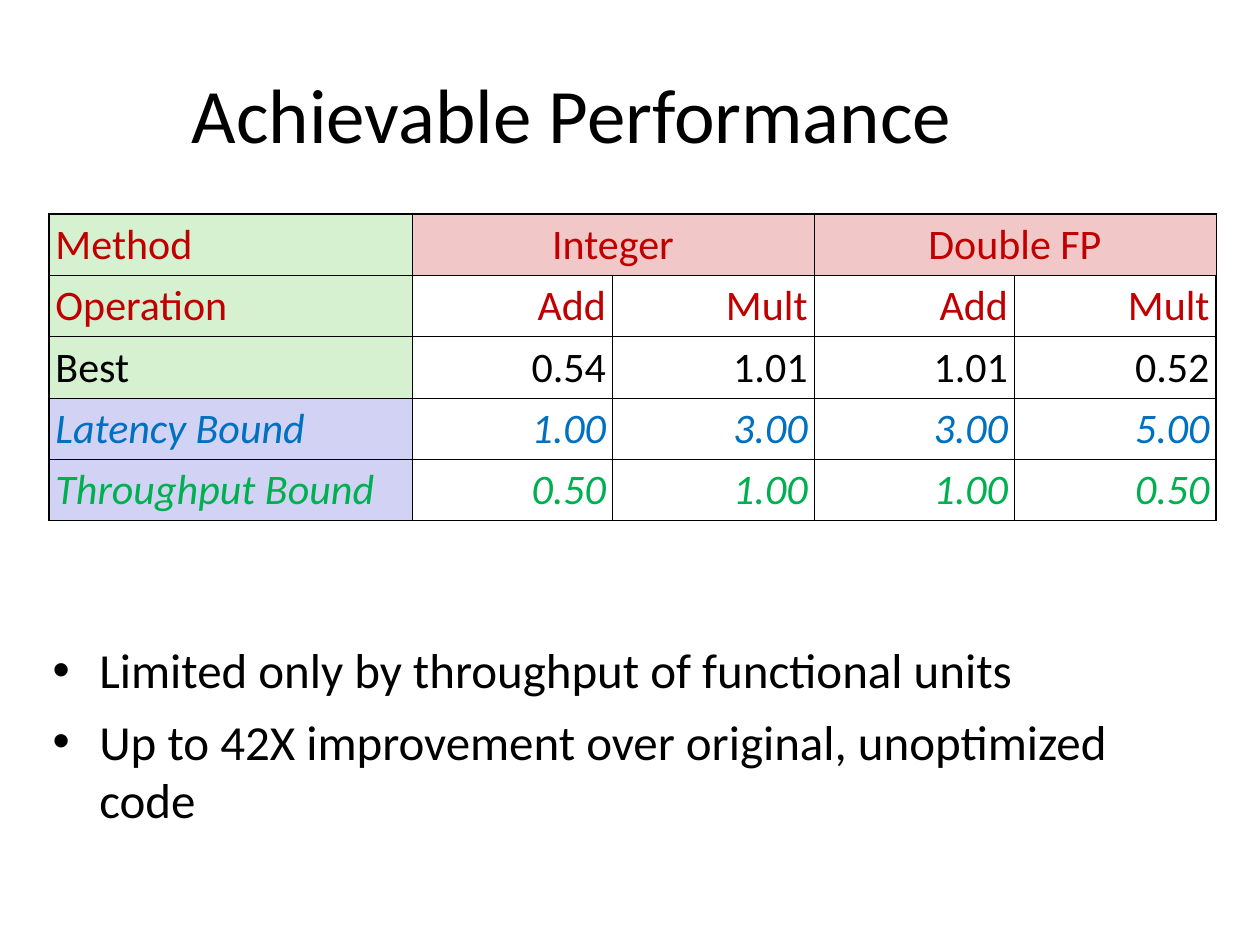
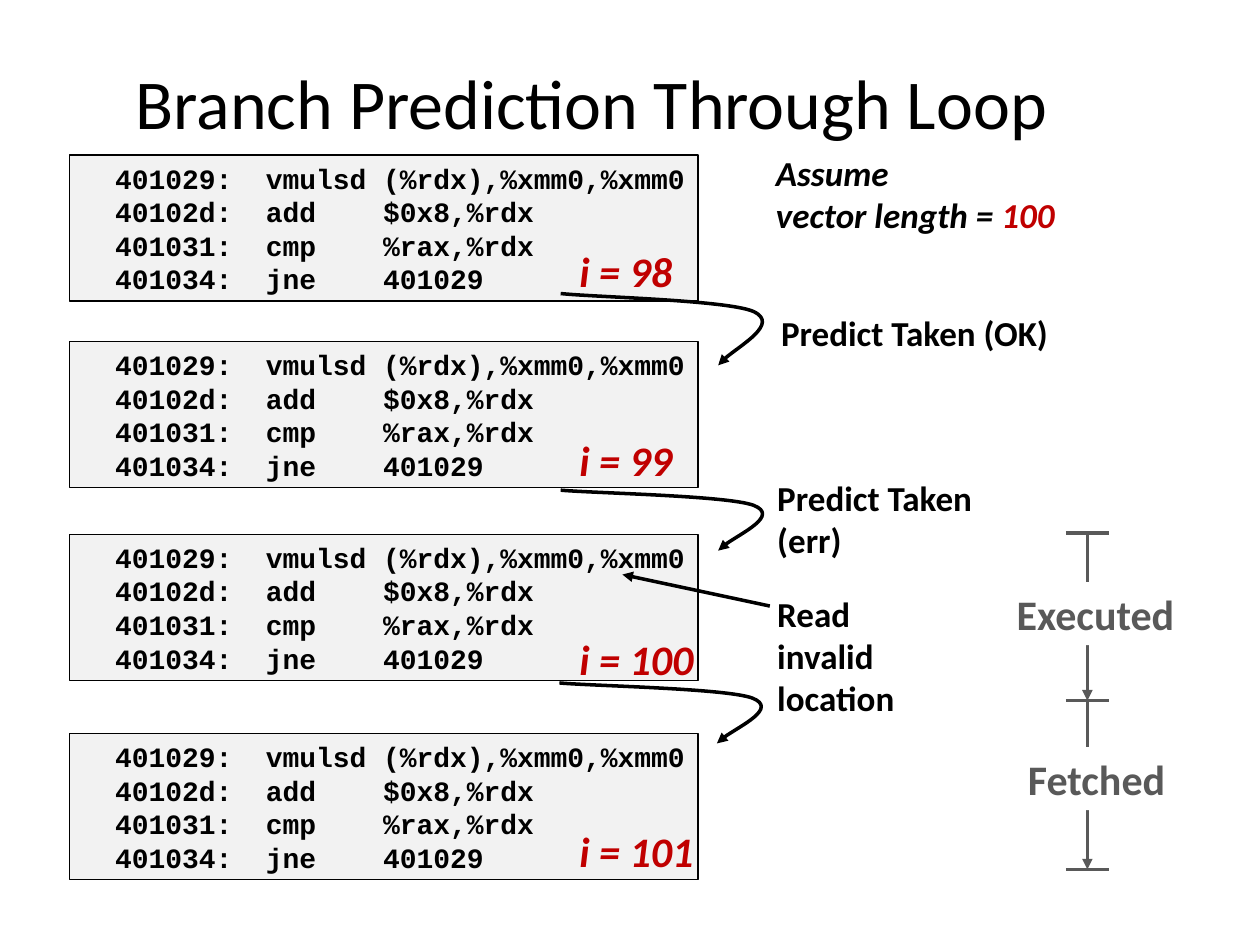
"""Build two slides on achievable performance and loop branch prediction."""
from dataclasses import dataclass

from lxml.etree import SubElement
from pptx import Presentation
from pptx.dml.color import RGBColor
from pptx.enum.shapes import MSO_CONNECTOR as Connector, MSO_SHAPE as Shape
from pptx.enum.text import MSO_ANCHOR as Anchor, MSO_AUTO_SIZE as AutoSize, PP_ALIGN as Align
from pptx.oxml.ns import qn
from pptx.util import Inches, Pt


@dataclass(frozen=True)
class Theme:
    body_font: str = "Calibri"
    code_font: str = "Courier New"
    black: str = "000000"
    white: str = "FFFFFF"
    red: str = "C00000"
    blue: str = "0070C0"
    green: str = "00B050"
    grey: str = "595959"
    code_fill: str = "F2F2F2"
    method_fill: str = "D5F1CF"
    type_fill: str = "F1C7C7"
    bound_fill: str = "D2D2F4"
    bullet_size: int = 28
    label_size: int = 24
    note_size: int = 20
    code_size: int = 16
    thick: float = 1.08
    thin: float = 0.45
    outline: float = 0.75
    stroke: float = 2


THEME = Theme()

PERFORMANCE_TITLE = ("Achievable Performance", (0.39, 0.48, 8.3, 0.83), 44)
PREDICTION_TITLE = ("Branch Prediction Through Loop", (0.4, 0.49, 8.59, 0.63), 40)

MEASURES = [
    (("Method", "Integer", "", "Double FP", ""), THEME.red, False, THEME.method_fill),
    (("Operation", "Add", "Mult", "Add", "Mult"), THEME.red, False, THEME.method_fill),
    (("Best", "0.54", "1.01", "1.01", "0.52"), THEME.black, False, THEME.method_fill),
    (("Latency Bound", "1.00", "3.00", "3.00", "5.00"), THEME.blue, True, THEME.bound_fill),
    (("Throughput Bound", "0.50", "1.00", "1.00", "0.50"), THEME.green, True, THEME.bound_fill),
]
MEASURE_WIDTHS = (2.88, 1.59, 1.6, 1.59, 1.6)
MEASURE_HEIGHT = 0.48
FINDINGS = [
    "Limited only by throughput of functional units",
    "Up to 42X improvement over original, unoptimized code",
]
FINDING_INDENT = 0.37

LOOP_CODE = [
    "  401029:  vmulsd (%rdx),%xmm0,%xmm0",
    "  40102d:  add    $0x8,%rdx",
    "  401031:  cmp    %rax,%rdx",
    "  401034:  jne    401029",
]
ITERATIONS = [
    (1.23, "i = 98", 1.9, 0.95),
    (2.71, "i = 99", 3.4, 0.95),
    (4.24, "i = 100", 4.98, 1.12),
    (5.82, "i = 101", 6.5, 1.12),
]
JUMPS = [(4.45, 2.33, 0.57), (4.45, 3.89, 0.48), (4.44, 5.42, 0.48)]
JUMP_BEND = [(0.26, 0.05), (1.32, 0.09), (1.53, 0.25),
             (1.74, 0.42), (1.31, 0.84), (1.25, 1)]
REMARKS = [
    (["Predict Taken (OK)"], (6.1, 2.42, 2.35, 0.44), False),
    (["Predict Taken", "(err)"], (6.07, 3.73, 1.78, 0.77), False),
    (["Read invalid location"], (6.07, 4.65, 1.42, 1.1), True),
]
ASSUMPTION = ["Assume", [("vector length = ", THEME.black), ("100", THEME.red)]]
INVALID_READ = ((6.11, 4.81), (4.94, 4.56))
STAGE_X, TICK_REACH = 8.63, 0.17
STAGE_ENDS = (4.23, 5.56, 6.9)
STAGES = [("Executed", (7.97, 4.62, 1.46, 0.5)), ("Fetched", (8.06, 5.93, 1.3, 0.5))]


def rgb(color):
    return RGBColor.from_string(color)


def assign(target, values):
    for name, value in values.items():
        setattr(target, name, value)


def box(place):
    return [Inches(length) for length in place]


def write(frame, lines, size, color=THEME.black, font=THEME.body_font,
          bold=False, italic=False, layout=None):
    """Fill a frame; a line is a string or a list of (text, color) runs."""
    for index, line in enumerate(lines):
        paragraph = frame.add_paragraph() if index else frame.paragraphs[0]
        assign(paragraph, layout or {})
        for words, shade in [(line, color)] if isinstance(line, str) else line:
            run = paragraph.add_run()
            run.text = words
            assign(run.font, {"name": font, "size": Pt(size), "bold": bold, "italic": italic})
            run.font.color.rgb = rgb(shade)


def add_words(slide, place, lines, size, wrap=False, **style):
    frame = slide.shapes.add_textbox(*box(place)).text_frame
    assign(frame, {"word_wrap": wrap,
                   "auto_size": AutoSize.NONE if wrap else AutoSize.SHAPE_TO_FIT_TEXT})
    write(frame, lines, size, **style)
    return frame


def add_title(slide, words, place, size):
    frame = add_words(slide, place, [words], size, wrap=True, layout={"alignment": Align.CENTER})
    frame.vertical_anchor = Anchor.MIDDLE


def add_panel(slide, place, lines, size, fill, outlined=False, **style):
    panel = slide.shapes.add_shape(Shape.RECTANGLE, *box(place))
    panel.shadow.inherit = False
    panel.fill.solid()
    panel.fill.fore_color.rgb = rgb(fill)
    if outlined:
        draw_stroke(panel, THEME.black, THEME.outline)
    else:
        panel.line.fill.background()
    assign(panel.text_frame, {"word_wrap": False, "auto_size": AutoSize.SHAPE_TO_FIT_TEXT,
                              "vertical_anchor": Anchor.TOP})
    write(panel.text_frame, lines, size, layout={"alignment": Align.LEFT}, **style)


def draw_stroke(mark, color, width=THEME.stroke, arrow=False):
    mark.line.color.rgb = rgb(color)
    mark.line.width = Pt(width)
    if arrow:
        SubElement(mark._element.spPr.get_or_add_ln(), qn("a:tailEnd"), type="triangle")


def add_line(slide, start, end, color, arrow=False):
    line = slide.shapes.add_connector(Connector.STRAIGHT, *box(start + end))
    draw_stroke(line, color, arrow=arrow)
    SubElement(line._element.spPr, qn("a:effectLst"))


def bend_segments(shape):
    """Turn each three straight segments into one cubic curve."""
    outline = next(shape._element.iter(qn("a:path")))
    segments = outline.findall(qn("a:lnTo"))
    for index, segment in enumerate(segments):
        if index % 3 == 0:
            curve = SubElement(outline, qn("a:cubicBezTo"))
        curve.append(segment[0])
        outline.remove(segment)


def add_jump(slide, left, top, drop):
    outline = slide.shapes.build_freeform(Inches(left), Inches(top))
    outline.add_line_segments([box((left + x, top + y * drop)) for x, y in JUMP_BEND],
                              close=False)
    jump = outline.convert_to_shape()
    bend_segments(jump)
    jump.shadow.inherit = False
    jump.fill.background()
    draw_stroke(jump, THEME.black, arrow=True)


def border_cell(cell, widths):
    properties = cell._tc.get_or_add_tcPr()
    for side, width in widths.items():
        edge = SubElement(properties, qn(f"a:ln{side}"), w=str(Pt(width)))
        SubElement(SubElement(edge, qn("a:solidFill")), qn("a:srgbClr"), val=THEME.black)


def add_measures(slide):
    place = (0.39, 1.7, sum(MEASURE_WIDTHS), MEASURE_HEIGHT * len(MEASURES))
    table = slide.shapes.add_table(len(MEASURES), len(MEASURE_WIDTHS), *box(place)).table
    assign(table, {"first_row": False, "horz_banding": False})
    for column, width in zip(table.columns, MEASURE_WIDTHS):
        column.width = Inches(width)
    last = len(MEASURE_WIDTHS) - 1
    for r, (values, color, italic, label_fill) in enumerate(MEASURES):
        table.rows[r].height = Inches(MEASURE_HEIGHT)
        for c, value in enumerate(values):
            cell = table.cell(r, c)
            assign(cell, {f"margin_{side}": Inches(0.05)
                          for side in ("left", "top", "right", "bottom")})
            border_cell(cell, {"L": THEME.thin if c else THEME.thick,
                               "R": THEME.thick if c == last else THEME.thin,
                               "T": THEME.thin if r else THEME.thick,
                               "B": THEME.thin})
            fill = label_fill if c == 0 else THEME.white if r else THEME.type_fill
            cell.fill.solid()
            cell.fill.fore_color.rgb = rgb(fill)
            if value:
                align = Align.LEFT if c == 0 else Align.RIGHT if r else Align.CENTER
                write(cell.text_frame, [value], THEME.label_size, color, italic=italic,
                      layout={"alignment": align, "line_spacing": 0.95})
    for c in (1, 3):
        table.cell(0, c).merge(table.cell(0, c + 1))


def add_findings(slide):
    frame = add_words(slide, (0.32, 5.03, 9.09, 2.05), FINDINGS, THEME.bullet_size, wrap=True)
    indent = Inches(FINDING_INDENT)
    for index, paragraph in enumerate(frame.paragraphs):
        properties = paragraph._p.get_or_add_pPr()
        for name, value in {"marL": indent, "indent": -indent}.items():
            properties.set(name, str(value))
        SubElement(properties, qn("a:buFont"), typeface="Arial")
        SubElement(properties, qn("a:buChar"), char="•")
        if index:
            paragraph.space_before = Pt(7)


def build_performance(slide):
    add_title(slide, *PERFORMANCE_TITLE)
    add_findings(slide)
    add_measures(slide)


def build_prediction(slide):
    add_title(slide, *PREDICTION_TITLE)
    for top, counter, counter_top, counter_width in ITERATIONS:
        add_panel(slide, (0.55, top, 4.99, 1.16), LOOP_CODE, THEME.code_size, THEME.code_fill,
                  outlined=True, font=THEME.code_font, bold=True)
        add_words(slide, (4.5, counter_top, counter_width, 0.5), [counter], THEME.label_size,
                  color=THEME.red, bold=True, italic=True)
    for jump in JUMPS:
        add_jump(slide, *jump)
    for lines, place, wrap in REMARKS:
        add_words(slide, place, lines, THEME.note_size, wrap=wrap, bold=True)
    add_words(slide, (6.06, 1.15, 2.41, 0.77), ASSUMPTION, THEME.note_size,
              bold=True, italic=True)
    add_line(slide, *INVALID_READ, THEME.black, arrow=True)
    for start, end in zip(STAGE_ENDS, STAGE_ENDS[1:]):
        add_line(slide, (STAGE_X, start), (STAGE_X, end), THEME.grey, arrow=True)
    for stage, place in STAGES:
        add_panel(slide, place, [stage], THEME.label_size, THEME.white,
                  color=THEME.grey, bold=True)
    for y in STAGE_ENDS:
        add_line(slide, (STAGE_X - TICK_REACH, y), (STAGE_X + TICK_REACH, y), THEME.grey)


def main():
    deck = Presentation()
    assign(deck, {"slide_width": Inches(10), "slide_height": Inches(7.5)})
    for build in (build_performance, build_prediction):
        build(deck.slides.add_slide(deck.slide_layouts[6]))
    deck.save("out.pptx")


if __name__ == "__main__":
    main()
